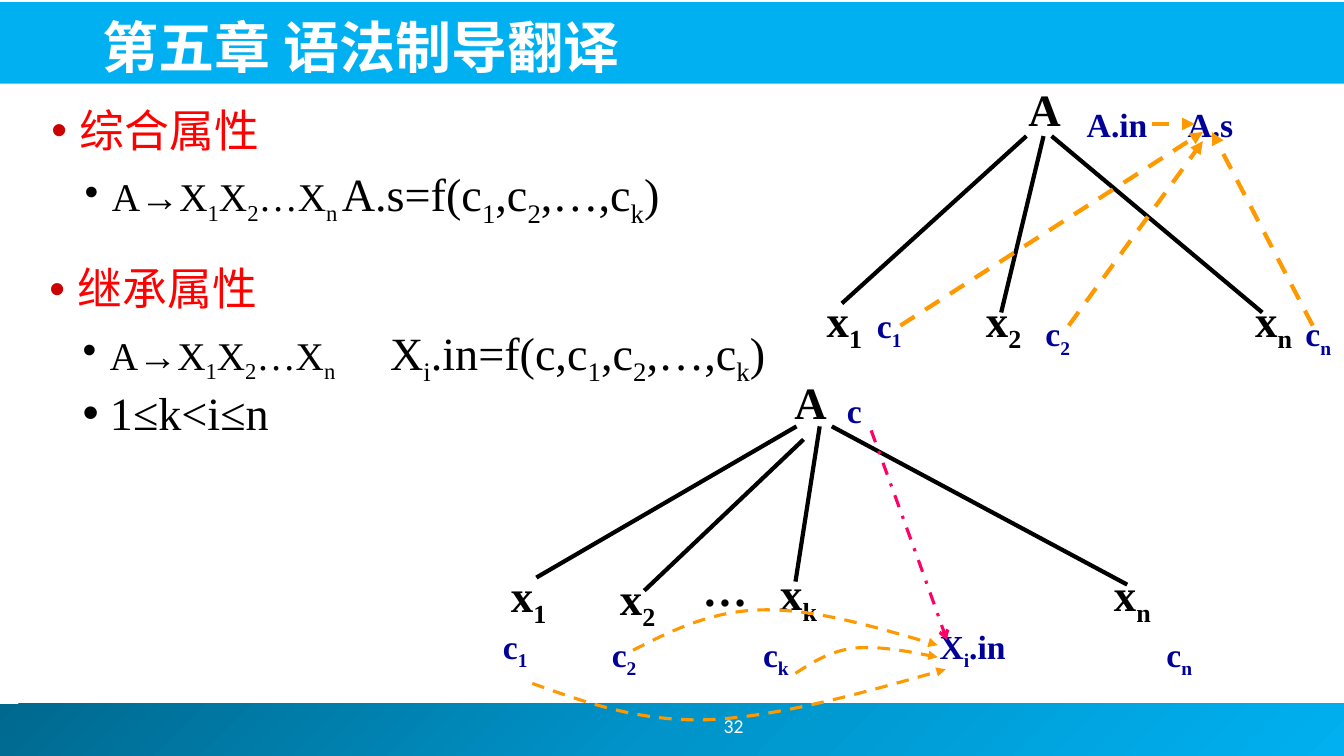
from copy import deepcopy

from lxml import etree
from pptx import Presentation
from pptx.dml.color import RGBColor
from pptx.enum.dml import MSO_LINE
from pptx.enum.shapes import MSO_CONNECTOR, MSO_SHAPE
from pptx.enum.text import MSO_ANCHOR, MSO_AUTO_SIZE, PP_ALIGN
from pptx.oxml.ns import qn
from pptx.util import Inches, Pt

STRAIGHT = MSO_CONNECTOR.STRAIGHT
RECTANGLE = MSO_SHAPE.RECTANGLE
DASH, DASH_DOT = MSO_LINE.DASH, MSO_LINE.DASH_DOT
CJK, SERIF = "Noto Sans CJK JP", "Times New Roman"
BLACK, NAVY, ORANGE, PINK = "000000", "000099", "FF9900", "FF0066"
RED, DARK_RED, WHITE, SKY = "FF0000", "CC0000", "FFFFFF", "00B0F0"
rgb = RGBColor.from_string


def add_runs(paragraph, text, size, color, font=SERIF, bold=False):
    """Add text whose parts between bars are alternately normal and subscript."""
    for index, part in enumerate(text.split("|")):
        if not part:
            continue
        run = paragraph.add_run()
        run.text = part
        run.font.size, run.font.bold, run.font.name = Pt(size), bold, font
        run.font.color.rgb = rgb(color)
        properties = run.font._element
        etree.SubElement(properties, qn("a:ea"), typeface=font)
        if index % 2:
            properties.set("baseline", "-25000")


def style_line(shape, color, width, dash=None, arrow=None):
    shape.line.color.rgb = rgb(color)
    shape.line.width = Pt(width)
    if dash:
        shape.line.dash_style = dash
    if arrow:
        etree.SubElement(shape.line._get_or_add_ln(), qn("a:tailEnd"), type=arrow)
    etree.SubElement(shape._element.spPr, qn("a:effectLst"))


presentation = Presentation()
presentation.slide_width, presentation.slide_height = Inches(13.33), Inches(7.5)
slide = presentation.slides.add_slide(presentation.slide_layouts[3])
shapes = slide.shapes
title, synthesized, inherited = slide.placeholders

# Header and footer bands, kept behind the placeholders
bands = []
for position, box in enumerate([(-0.05, 6.98, 13.39, 0.52), (-0.02, 0.02, 13.36, 0.81)]):
    band = shapes.add_shape(RECTANGLE, *map(Inches, box))
    band.shadow.inherit = False
    band.line.fill.background()
    shapes._spTree.insert(2 + position, band._element)
    bands.append(band)
footer, header = bands
header.fill.solid()
header.fill.fore_color.rgb = rgb(SKY)
footer.fill.gradient()
footer.fill.gradient_angle = 315
first_stop = footer.fill.gradient_stops[0]._gs
first_stop.addnext(deepcopy(first_stop))
for stop, (place, color) in zip(footer.fill.gradient_stops,
                                [(0, "00688E"), (0.5, "0094CA"), (1, SKY)]):
    stop.position = place
    stop.color.rgb = rgb(color)

# Title
title.left, title.top, title.width, title.height = map(Inches, (0.92, 0.05, 11.97, 0.79))
title.text_frame.auto_size = MSO_AUTO_SIZE.NONE
title.text_frame.vertical_anchor = MSO_ANCHOR.BOTTOM
title.text_frame.paragraphs[0].alignment = PP_ALIGN.LEFT
add_runs(title.text_frame.paragraphs[0], "第五章 语法制导翻译", 40, WHITE, CJK, True)

# Slide number
number = shapes.add_textbox(*map(Inches, (5.83, 6.95, 2.89, 0.5))).text_frame
number.word_wrap = True
number.vertical_anchor = MSO_ANCHOR.MIDDLE
number.paragraphs[0].alignment = PP_ALIGN.CENTER
add_runs(number.paragraphs[0], "32", 14, WHITE, "Calibri")

# Bulleted lists: each item is a level and its (text, size) pieces
production = "A→X|1|X|2|…X|n"
lists = [
    (synthesized, (0.29, 1.03, 8.13, 1.41), [
        (0, [("综合属性", 32)]),
        (1, [(production + "\t", 28), ("A.s=f(c|1|,c|2|,…,c|k|)", 33)])]),
    (inherited, (0.27, 2.6, 8.03, 1.95), [
        (0, [("继承属性", 32)]),
        (1, [(production, 28), (" ", 28), ("X|i|.in=f(c,c|1|,c|2|,…,c|k|)", 33)]),
        (1, [("1≤k<i≤n", 33)])]),
]
for body, box, items in lists:
    body.left, body.top, body.width, body.height = map(Inches, box)
    frame = body.text_frame
    frame.auto_size = MSO_AUTO_SIZE.NONE
    for index, (level, pieces) in enumerate(items):
        paragraph = frame.add_paragraph() if index else frame.paragraphs[0]
        paragraph.level = level
        paragraph.line_spacing = 0.9
        paragraph.space_before = Pt(6.5)
        properties = paragraph._p.get_or_add_pPr()
        margin, indent = [(0.4, -0.28), (0.72, -0.27)][level]
        properties.set("marL", str(Inches(margin)))
        properties.set("indent", str(Inches(indent)))
        bullet_color = etree.SubElement(properties, qn("a:buClr"))
        etree.SubElement(bullet_color, qn("a:srgbClr"), val=[DARK_RED, BLACK][level])
        etree.SubElement(properties, qn("a:buFont"), typeface="Arial")
        etree.SubElement(properties, qn("a:buChar"), char="•")
        for text, size in pieces:
            add_runs(paragraph, text, size, [RED, BLACK][level], [CJK, SERIF][level])
            if text == " ":  # one widely tracked space parts rule and equation
                paragraph.runs[-1].font._element.set("spc", "3200")

# Tree edges, then dependency arrows into A.s
edges = [
    (10.18, 1.35, 8.35, 3.01), (10.35, 1.35, 9.93, 3.1), (10.43, 1.35, 12.52, 3.1),
    (7.9, 4.23, 5.32, 5.73), (7.97, 4.36, 6.39, 5.86),
    (8.13, 4.23, 7.89, 5.77), (8.25, 4.23, 11.18, 5.8),
]
arrows = [
    (8.93, 3.23, 11.93, 1.31), (10.6, 3.23, 11.93, 1.4),
    (13.02, 3.23, 12.02, 1.31), (11.43, 1.23, 11.85, 1.23),
]
for ends in edges:
    style_line(shapes.add_connector(STRAIGHT, *map(Inches, ends)), BLACK, 3)

# Node labels (black) and attribute labels (navy): text, left, top, width
nodes = [
    ("A", 10.1, 0.76, 0.58), ("x|1", 8.1, 2.85, 0.67), ("x|2", 9.68, 2.85, 0.67),
    ("x|n", 12.35, 2.85, 0.67), ("A", 7.78, 3.67, 0.82), ("x|1", 4.97, 5.58, 0.94),
    ("x|2", 6.05, 5.61, 0.94), ("…", 6.87, 5.52, 0.94), ("x|k", 7.64, 5.56, 0.94),
    ("x|n", 10.95, 5.57, 0.94),
]
attributes = [
    ("A.in", 10.68, 0.98, 0.92), ("A.s", 11.68, 0.98, 0.83), ("c|1", 8.6, 2.98, 0.67),
    ("c|2", 10.27, 3.06, 0.67), ("c|n", 12.85, 3.06, 0.67), ("c", 8.3, 3.82, 0.58),
    ("c|1", 4.89, 6.16, 0.67), ("c|2", 5.97, 6.24, 0.67), ("c|k", 7.47, 6.24, 0.67),
    ("X|i|.in", 9.22, 6.16, 1), ("c|n", 11.47, 6.24, 0.67),
]
for labels, size, color, height in [(nodes, 32, BLACK, 0.63), (attributes, 24, NAVY, 0.5)]:
    for text, left, top, width in labels:
        label = shapes.add_textbox(*map(Inches, (left, top, width, height)))
        label.text_frame.word_wrap = True
        add_runs(label.text_frame.paragraphs[0], text, size, color, bold=True)

for ends in arrows:
    style_line(shapes.add_connector(STRAIGHT, *map(Inches, ends)),
               ORANGE, 3, DASH, "triangle")

# Curved dependencies into Xi.in: a start point, then three points per Bezier segment
curves = [
    ([(7.89, 6.68), (8.06, 6.57), (8.23, 6.46), (8.47, 6.43),
      (8.71, 6.41), (9, 6.46), (9.3, 6.52)], ORANGE, DASH, "triangle"),
    ([(6.28, 6.45), (6.67, 6.25), (7.06, 6.06), (7.56, 6.05),
      (8.07, 6.04), (8.68, 6.22), (9.3, 6.4)], ORANGE, DASH, "triangle"),
    ([(5.28, 6.78), (5.81, 6.97), (6.34, 7.16), (7.02, 7.14),
      (7.7, 7.11), (8.54, 6.88), (9.38, 6.64)], ORANGE, DASH, "triangle"),
    ([(8.64, 4.27), (8.95, 5.12), (9.26, 5.97), (9.39, 6.35)], PINK, DASH_DOT, "arrow"),
]
for points, color, dash, arrow in curves:
    start, *controls = [(Inches(x), Inches(y)) for x, y in points]
    builder = shapes.build_freeform(*start)
    builder.add_line_segments(controls, close=False)
    curve = builder.convert_to_shape()
    segments = list(curve._element.iter(qn("a:lnTo")))
    outline = segments[0].getparent()
    for first in range(0, len(segments), 3):
        bezier = etree.SubElement(outline, qn("a:cubicBezTo"))
        for segment in segments[first:first + 3]:
            bezier.append(segment[0])
            outline.remove(segment)
    curve.fill.background()
    style_line(curve, color, 2.25, dash, arrow)

presentation.save("out.pptx")
